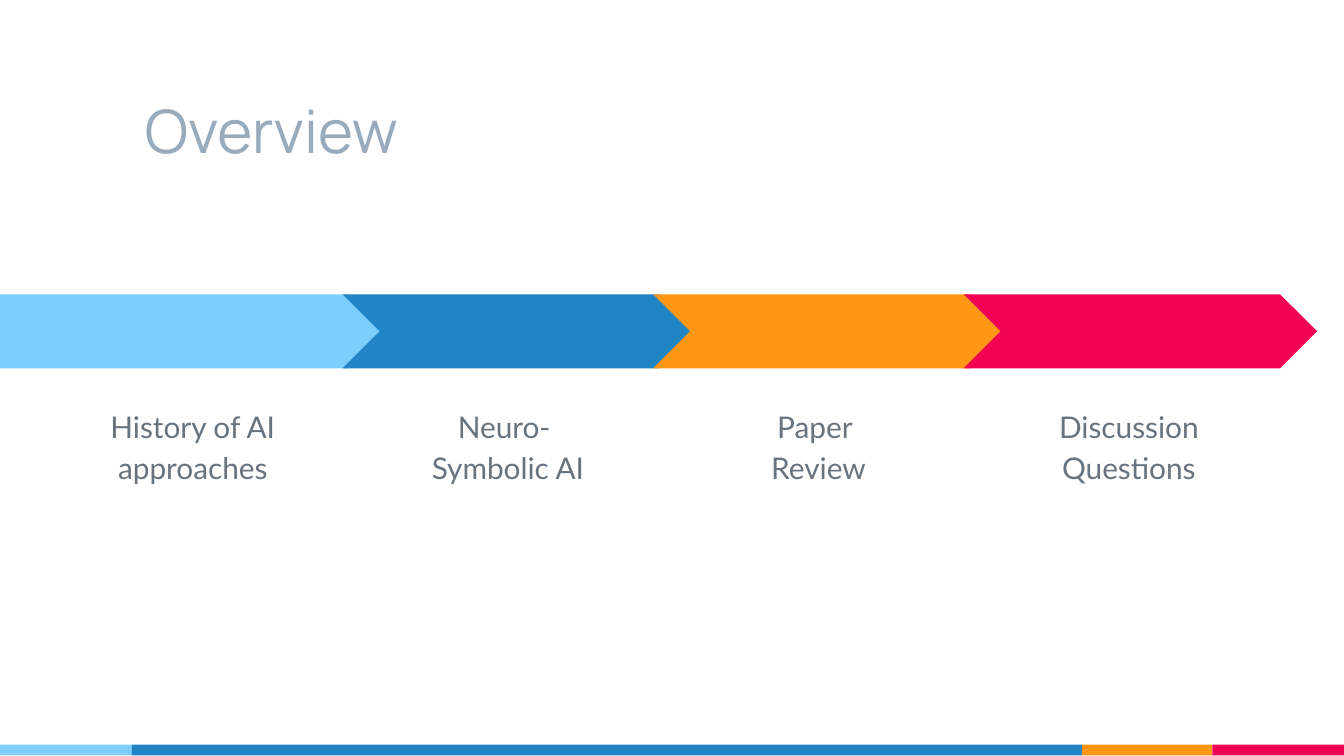
from dataclasses import dataclass

from pptx import Presentation
from pptx.dml.color import RGBColor
from pptx.enum.shapes import MSO_SHAPE
from pptx.enum.text import MSO_ANCHOR, PP_ALIGN
from pptx.util import Inches, Pt

RECT = MSO_SHAPE.RECTANGLE
HOME = MSO_SHAPE.PENTAGON
CHEVRON = MSO_SHAPE.CHEVRON
TOP = MSO_ANCHOR.TOP
BOTTOM = MSO_ANCHOR.BOTTOM
LEFT = PP_ALIGN.LEFT
CENTER = PP_ALIGN.CENTER

COLORS = {
    "sky": "7ECEFD",
    "blue": "2185C5",
    "orange": "FF9715",
    "red": "F20253",
    "title": "97ABBC",
    "text": "677480",
}


@dataclass
class Box:
    left: float
    top: float
    width: float
    height: float

    def place(self) -> tuple:
        return tuple(map(Inches, (self.left, self.top, self.width, self.height)))


@dataclass
class Style:
    font: str
    size: int
    color: str
    align: PP_ALIGN = LEFT
    anchor: MSO_ANCHOR = TOP
    spacing: float = 1.0


@dataclass
class Step:
    label: str
    color: str


TITLE = Style("Manrope", 32, "title", anchor=BOTTOM)
LABEL = Style("Lato", 16, "text", align=CENTER, spacing=1.15)

STEPS = [
    Step("History of AI approaches", "sky"),
    Step("Neuro- \vSymbolic AI", "blue"),
    Step("Paper \nReview", "orange"),
    Step("Discussion Questions", "red"),
]
STRIPES = [("sky", 0.98), ("blue", 7.07), ("orange", 0.97), ("red", 0.98)]
PITCH = 2.31


def add_block(shapes, kind: MSO_SHAPE, box: Box, color: str) -> None:
    shape = shapes.add_shape(kind, *box.place())
    shape.shadow.inherit = False
    shape.fill.solid()
    shape.fill.fore_color.rgb = RGBColor.from_string(COLORS[color])
    shape.line.fill.background()


def add_text(shapes, text: str, box: Box, style: Style) -> None:
    frame = shapes.add_textbox(*box.place()).text_frame
    frame.word_wrap = True
    frame.vertical_anchor = style.anchor
    frame.margin_left = frame.margin_right = Inches(0.1)
    frame.margin_top = frame.margin_bottom = Inches(0.1)
    frame.text = text
    for para in frame.paragraphs:
        para.alignment = style.align
        para.line_spacing = style.spacing
        para.font.name = style.font
        para.font.size = Pt(style.size)
        para.font.color.rgb = RGBColor.from_string(COLORS[style.color])


def add_step(shapes, step: Step, index: int) -> None:
    if index == 0:
        kind, left, width = HOME, 0, 2.87
        label = Box(0.53, 2.9, 1.81, 2.15)
    else:
        kind, left, width = CHEVRON, 0.24 + index * PITCH, 2.63
        label = Box(left + 0.34, 2.9, 1.78, 2.15)
    group = shapes.add_group_shape().shapes
    add_block(group, kind, Box(left, 2.19, width, 0.55), step.color)
    add_text(group, step.label, label, LABEL)


def main() -> None:
    deck = Presentation()
    deck.slide_width = Inches(10)
    deck.slide_height = deck.slide_width * 9 // 16
    shapes = deck.slides.add_slide(deck.slide_layouts[6]).shapes

    left = 0
    for color, width in STRIPES:
        add_block(shapes, RECT, Box(left, 5.54, width, 0.08), color)
        left += width

    add_text(shapes, "Overview", Box(0.98, 0.39, 7.07, 0.94), TITLE)
    for index, step in enumerate(STEPS):
        add_step(shapes, step, index)

    deck.save("out.pptx")


if __name__ == "__main__":
    main()
